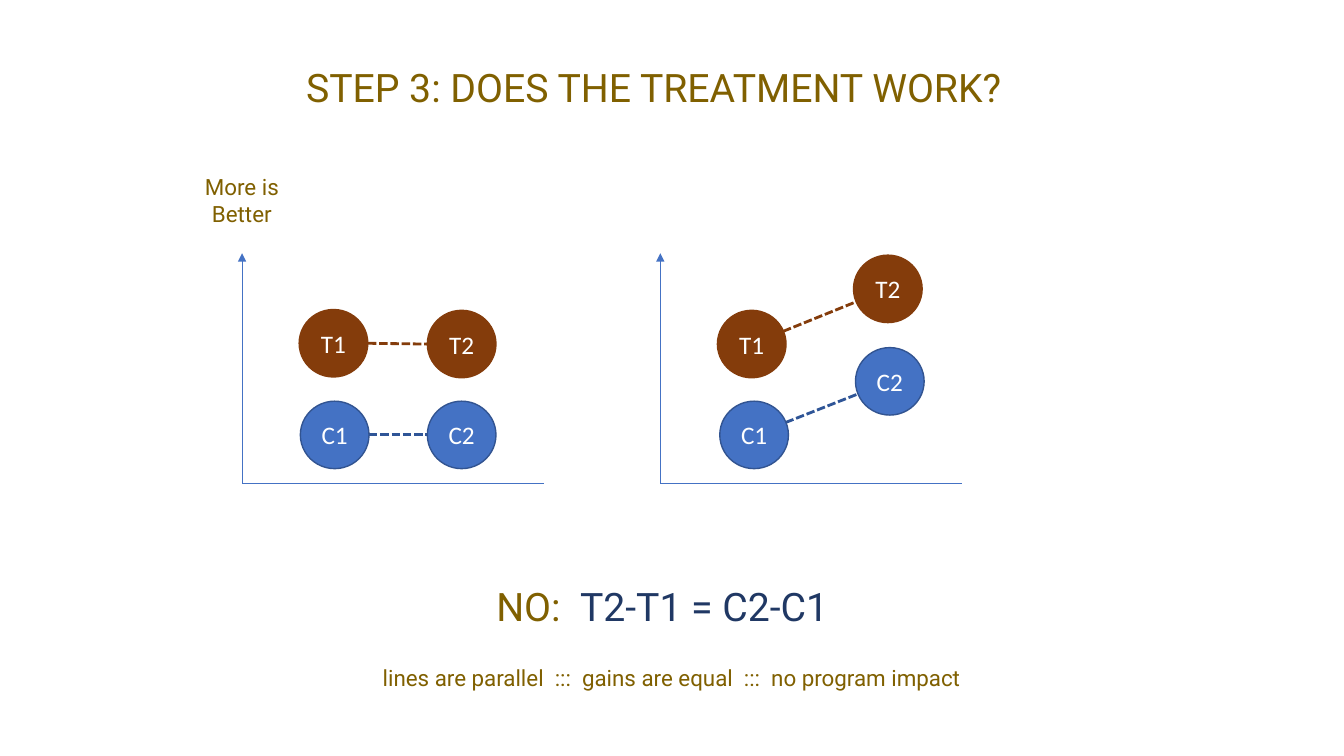
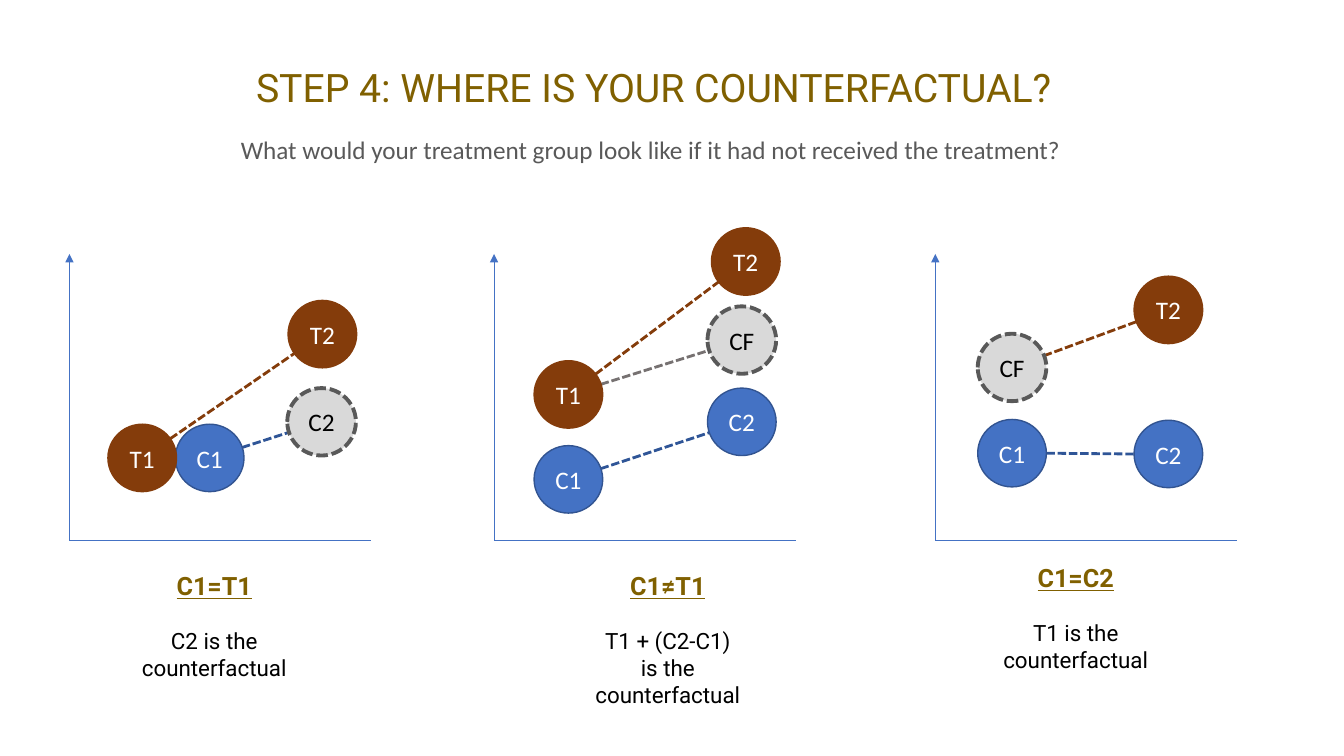
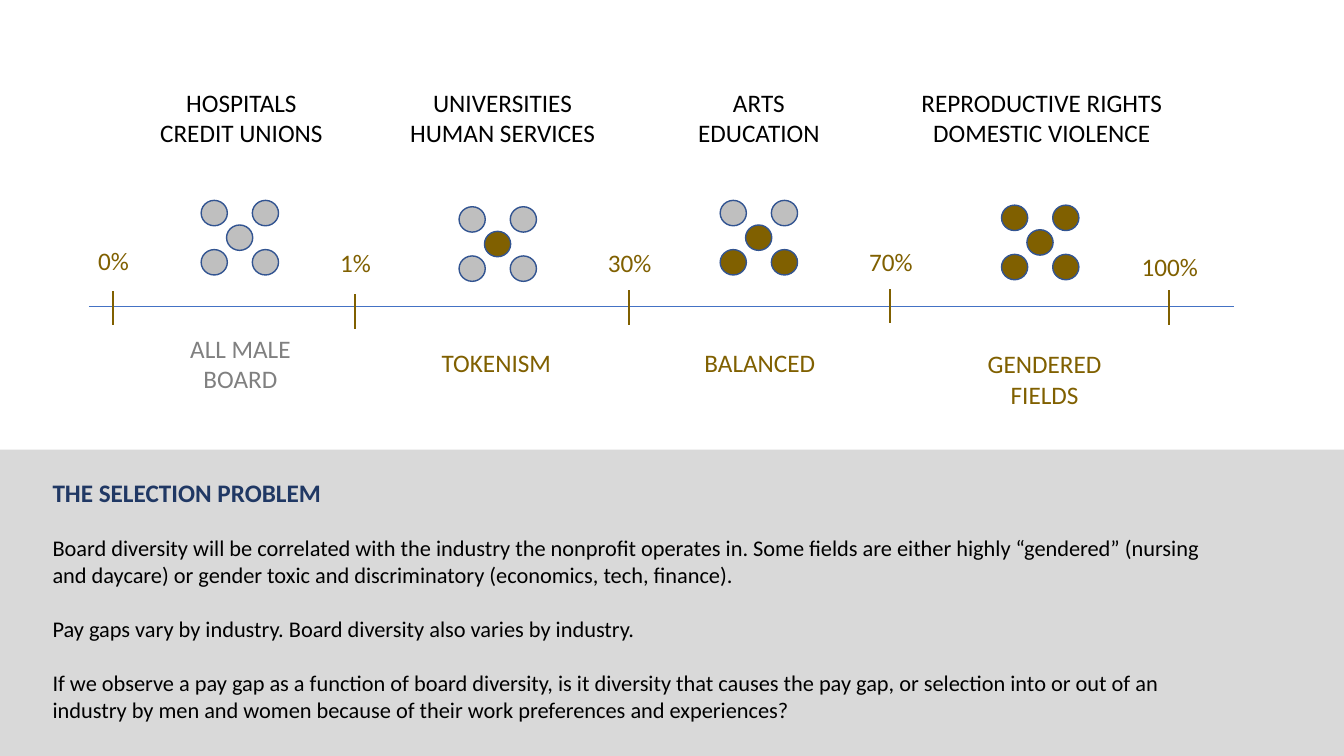
from lxml import etree
from pptx import Presentation
from pptx.dml.color import RGBColor
from pptx.enum.dml import MSO_LINE
from pptx.enum.shapes import MSO_CONNECTOR, MSO_SHAPE
from pptx.enum.text import MSO_ANCHOR, MSO_AUTO_SIZE, PP_ALIGN
from pptx.oxml.ns import qn
from pptx.util import Cm, Pt

STRAIGHT = MSO_CONNECTOR.STRAIGHT
OVAL = MSO_SHAPE.OVAL
RECTANGLE = MSO_SHAPE.RECTANGLE
DASH = MSO_LINE.SQUARE_DOT
LEFT = PP_ALIGN.LEFT
CENTER = PP_ALIGN.CENTER
TOP = MSO_ANCHOR.TOP
MIDDLE = MSO_ANCHOR.MIDDLE
NO_FIT = MSO_AUTO_SIZE.NONE

HEX = {
    "gold": "806000", "navy": "203864", "brown": "843C0B", "blue": "4472C4",
    "blue edge": "325491", "blue link": "2F5597", "gray link": "767171",
    "panel": "D9D9D9", "dark gray": "595959", "mid gray": "808080",
    "dot": "BFBFBF", "black": "000000", "white": "FFFFFF",
}
COLORS = {name: RGBColor.from_string(value) for name, value in HEX.items()}
HEAD_FONT = "Roboto"
BODY_FONT = "Calibri"


def write(shape, text, size, color, font=BODY_FONT, align=CENTER, anchor=TOP, wrap=True):
    frame = shape.text_frame
    frame.text = text
    frame.word_wrap = wrap
    frame.auto_size = NO_FIT
    frame.vertical_anchor = anchor
    for para in frame.paragraphs:
        para.alignment = align
        for span in para.runs:
            span.font.size = Pt(size)
            span.font.name = font
            span.font.color.rgb = COLORS[color]
    return frame


def draw_line(page, x1, y1, x2, y2, color, width, dash=None, arrow=False):
    line = page.shapes.add_connector(STRAIGHT, Cm(x1), Cm(y1), Cm(x2), Cm(y2))
    line.line.color.rgb = COLORS[color]
    line.line.width = Pt(width)
    if dash:
        line.line.dash_style = dash
    properties = line._element.spPr
    if arrow:
        etree.SubElement(properties.find(qn("a:ln")), qn("a:tailEnd"), type="triangle")
    etree.SubElement(properties, qn("a:effectLst"))


deck = Presentation()
deck.slide_width = Cm(33.87)
deck.slide_height = Cm(19.05)
title_only = deck.slide_layouts[5]
title_and_body = deck.slide_layouts[1]

effect_page = deck.slides.add_slide(title_only)
counterfactual_page = deck.slides.add_slide(title_only)
selection_page = deck.slides.add_slide(title_and_body)

TITLE_CENTER = 16.47
for page, text, width in [
    (effect_page, "STEP 3: DOES THE TREATMENT WORK?", 18.31),
    (counterfactual_page, "STEP 4: WHERE IS YOUR COUNTERFACTUAL?", 21.51),
]:
    title = page.shapes.title
    title.left, title.top = Cm(TITLE_CENTER - width / 2), Cm(1.47)
    title.width, title.height = Cm(width), Cm(1.45)
    write(title, text, 28, "gold", HEAD_FONT)

CIRCLE_WIDTH, CIRCLE_HEIGHT = 1.73, 1.7
AXIS_LENGTH = 7.6
GROUPS = {
    "treated": ("brown", "brown", 1, None, "white"),
    "control": ("blue", "blue edge", 1, None, "white"),
    "assumed": ("panel", "dark gray", 2.75, DASH, "black"),
}
TREATED_LINK = ("T1", "T2", "brown")
CONTROL_LINK = ("C1", "C2", "blue link")
charts = [
    (effect_page, 6.1, 6.38, 12.19, [TREATED_LINK, CONTROL_LINK], [
        ("C2", "control", 10.77, 10.11), ("C1", "control", 7.57, 10.11),
        ("T2", "treated", 10.77, 7.82), ("T1", "treated", 7.54, 7.8)]),
    (effect_page, 16.64, 6.38, 12.19, [TREATED_LINK, CONTROL_LINK], [
        ("C2", "control", 21.56, 8.76), ("C1", "control", 18.14, 10.11),
        ("T2", "treated", 21.51, 6.43), ("T1", "treated", 18.08, 7.82)]),
    (counterfactual_page, 1.75, 6.4, 13.61, [TREATED_LINK, CONTROL_LINK], [
        ("C2", "assumed", 7.24, 9.78), ("C1", "control", 4.42, 10.69),
        ("T2", "treated", 7.26, 7.57), ("T1", "treated", 2.72, 10.69)]),
    (counterfactual_page, 12.45, 6.4, 13.61,
     [("T1", "CF", "gray link"), TREATED_LINK, CONTROL_LINK], [
        ("CF", "assumed", 17.83, 7.72), ("C1", "control", 13.46, 11.23),
        ("T2", "treated", 17.93, 5.74), ("T1", "treated", 13.46, 9.09),
        ("C2", "control", 17.83, 9.78)]),
    (counterfactual_page, 23.57, 6.4, 13.61,
     [("CF", "T2", "brown"), CONTROL_LINK], [
        ("CF", "assumed", 24.64, 8.41), ("C1", "control", 24.64, 10.57),
        ("T2", "treated", 28.58, 6.96), ("C2", "control", 28.58, 10.59)]),
]
for page, axis_x, axis_top, axis_y, links, circles in charts:
    centers = {label: (left + CIRCLE_WIDTH / 2, top + CIRCLE_HEIGHT / 2)
               for label, group, left, top in circles}
    for start, end, color in links:
        (x1, y1), (x2, y2) = centers[start], centers[end]
        trim = CIRCLE_WIDTH / 2 if abs(y2 - y1) < 0.1 else 0
        draw_line(page, x1 + trim, y1, x2 - trim, y2, color, 2, DASH)
    draw_line(page, axis_x, axis_y, axis_x, axis_top, "blue", 0.5, arrow=True)
    draw_line(page, axis_x, axis_y, axis_x + AXIS_LENGTH, axis_y, "blue", 0.5)
    for label, group, left, top in circles:
        fill, edge, edge_width, dash, text_color = GROUPS[group]
        circle = page.shapes.add_shape(
            OVAL, Cm(left), Cm(top), Cm(CIRCLE_WIDTH), Cm(CIRCLE_HEIGHT))
        circle.shadow.inherit = False
        circle.fill.solid()
        circle.fill.fore_color.rgb = COLORS[fill]
        circle.line.color.rgb = COLORS[edge]
        circle.line.width = Pt(edge_width)
        if dash:
            circle.line.dash_style = dash
        write(circle, label, 18, text_color, anchor=MIDDLE, wrap=False)

axis_label = effect_page.shapes.add_textbox(Cm(4.62), Cm(4.24), Cm(2.95), Cm(1.63))
write(axis_label, "More is Better", 16, "gold", HEAD_FONT)

answer = effect_page.shapes.add_textbox(Cm(11.79), Cm(14.55), Cm(9.8), Cm(1.45))
answer_para = write(answer, "NO:  ", 28, "gold", HEAD_FONT).paragraphs[0]
formula = answer_para.add_run()
formula.text = "T2-T1 = C2-C1"
formula.font.size = Pt(28)
formula.font.name = HEAD_FONT
formula.font.color.rgb = COLORS["navy"]

summary = effect_page.shapes.add_textbox(Cm(8.81), Cm(16.61), Cm(16.23), Cm(0.94))
write(summary, "lines are parallel  :::  gains are equal  :::  no program impact",
      16, "gold", HEAD_FONT)

question = counterfactual_page.shapes.add_textbox(Cm(5.82), Cm(3.25), Cm(21.41), Cm(1.02))
write(question, "What would your treatment group look like if it had not received the treatment?",
      18, "dark gray", align=LEFT)

for condition, conclusion, left, top, height in [
    ("C1=T1", "C2 is the counterfactual", 2.9, 14.25, 3.07),
    ("C1≠T1", "T1 + (C2-C1)\vis the counterfactual", 14.33, 14.25, 3.76),
    ("C1=C2", "T1 is the counterfactual", 24.61, 14.05, 3.07),
]:
    caption = counterfactual_page.shapes.add_textbox(Cm(left), Cm(top), Cm(5), Cm(height))
    frame = write(caption, condition + "\n" + conclusion, 16, "black", HEAD_FONT)
    heading = frame.paragraphs[0].runs[0].font
    heading.size = Pt(18)
    heading.bold = True
    heading.underline = True
    heading.color.rgb = COLORS["gold"]
    frame.paragraphs[1].space_before = Pt(19)

band = selection_page.shapes.add_shape(RECTANGLE, 0, Cm(11.33), deck.slide_width, Cm(7.72))
band.shadow.inherit = False
band.fill.solid()
band.fill.fore_color.rgb = COLORS["panel"]
band.line.fill.background()
band._element.getparent().insert(2, band._element)

title = selection_page.shapes.title
title.left, title.top, title.width, title.height = Cm(1.07), Cm(11.89), Cm(30.23), Cm(1.02)
frame = write(title, "THE SELECTION PROBLEM", 18, "navy", align=LEFT)
frame.paragraphs[0].runs[0].font.bold = True

body = selection_page.placeholders[1]
body.left, body.top, body.width, body.height = Cm(1.07), Cm(13.34), Cm(30.23), Cm(5.6)
arguments = [
    "Board diversity will be correlated with the industry the nonprofit operates in. "
    "Some fields are either highly “gendered” (nursing and daycare) or gender toxic "
    "and discriminatory (economics, tech, finance).",
    "Pay gaps vary by industry. Board diversity also varies by industry.",
    "If we observe a pay gap as a function of board diversity, is it diversity that "
    "causes the pay gap, or selection into or out of an industry by men and women "
    "because of their work preferences and experiences?",
]
frame = write(body, "\n".join(arguments), 16, "black", align=LEFT)
for index, para in enumerate(frame.paragraphs):
    para.space_before = Pt(19.2 if index else 0)
    properties = para._p.get_or_add_pPr()
    properties.set("marL", "0")
    properties.set("indent", "0")
    etree.SubElement(properties, qn("a:buNone"))

draw_line(selection_page, 2.24, 7.72, 31.09, 7.72, "blue", 0.5)
for share, tick_x, tick_top, label_top in [
    ("0%", 2.84, 7.34, 6.05),
    ("1%", 8.94, 7.42, 6.12),
    ("30%", 15.85, 7.32, 6.1),
    ("70%", 22.43, 7.29, 6.07),
    ("100%", 29.46, 7.32, 6.2),
]:
    draw_line(selection_page, tick_x, tick_top, tick_x, tick_top + 0.86, "gold", 1.5)
    label = selection_page.shapes.add_textbox(
        Cm(tick_x - 1.82), Cm(label_top), Cm(3.68), Cm(1.02))
    write(label, share, 18, "gold")

for text, left, top, width, height, color, wrap in [
    ("HOSPITALS\nCREDIT UNIONS", 3.76, 2.08, 4.65, 1.8, "black", False),
    ("UNIVERSITIES\nHUMAN SERVICES", 10.06, 2.08, 5.21, 1.8, "black", False),
    ("ARTS\nEDUCATION", 17.32, 2.08, 3.61, 1.8, "black", False),
    ("REPRODUCTIVE RIGHTS\nDOMESTIC VIOLENCE", 22.94, 2.08, 6.63, 1.8, "black", False),
    ("ALL MALE BOARD", 4.22, 8.28, 3.68, 1.8, "mid gray", True),
    ("TOKENISM", 10.67, 8.64, 3.68, 1.02, "gold", True),
    ("BALANCED", 16.79, 8.64, 4.72, 1.02, "gold", True),
    ("GENDERED FIELDS", 23.77, 8.66, 5.11, 1.8, "gold", True),
]:
    box = selection_page.shapes.add_textbox(Cm(left), Cm(top), Cm(width), Cm(height))
    write(box, text, 18, color, wrap=wrap)

SEATS = [(0.64, 0.62), (0, 1.24), (1.29, 1.24), (0, 0), (1.29, 0)]
for left, top, women in [(5.07, 5.05, 0), (11.57, 5.21, 1), (18.15, 5.05, 3), (25.24, 5.17, 5)]:
    board = selection_page.shapes.add_group_shape()
    for index, (across, down) in enumerate(SEATS):
        seat = board.shapes.add_shape(
            OVAL, Cm(left + across), Cm(top + down), Cm(0.66), Cm(0.64))
        seat.shadow.inherit = False
        seat.fill.solid()
        seat.fill.fore_color.rgb = COLORS["gold" if index < women else "dot"]
        seat.line.color.rgb = COLORS["blue edge"]
        seat.line.width = Pt(1)

deck.save("out.pptx")
